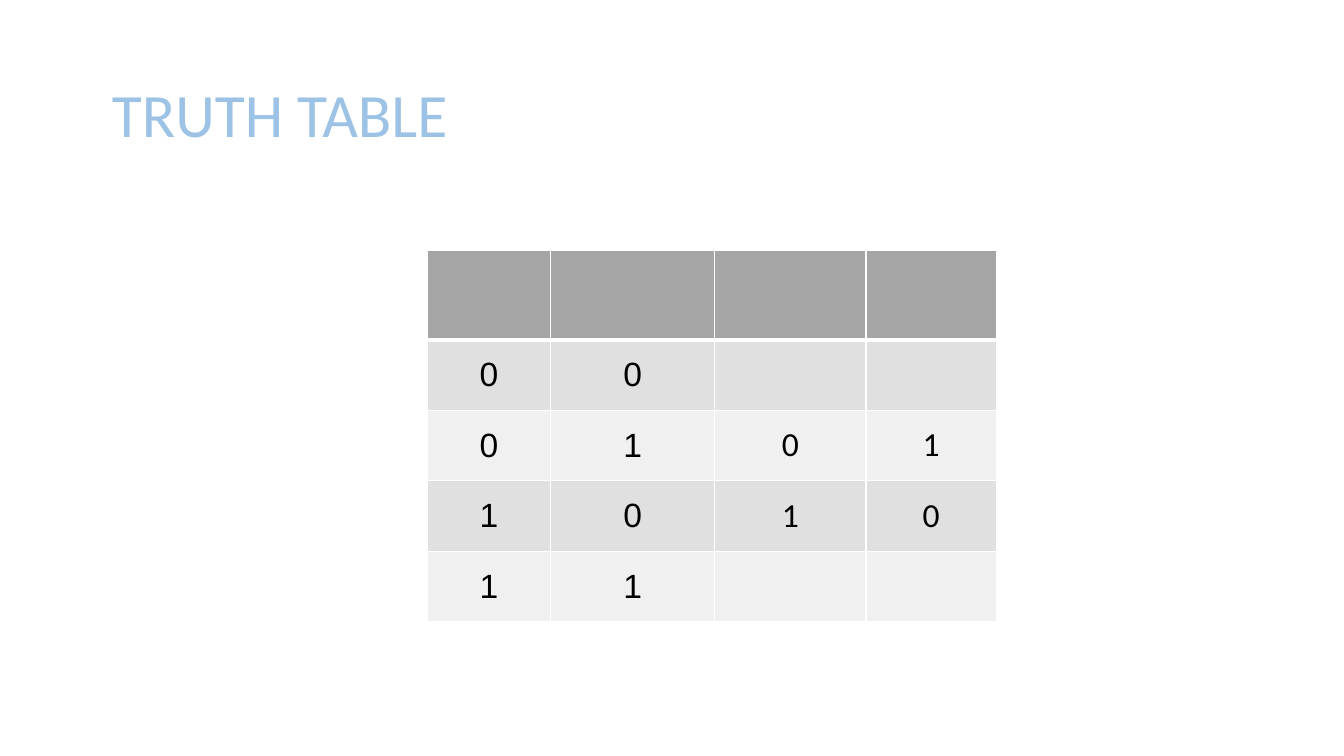
from pptx import Presentation
from pptx.dml.color import RGBColor
from pptx.enum.text import MSO_ANCHOR as Anchor, PP_ALIGN as Align
from pptx.oxml.ns import qn
from pptx.util import Inches, Pt
from lxml.etree import SubElement

COLUMN_WIDTHS = [1.22, 1.63, 1.5, 1.29]
HEADER_HEIGHT, BODY_HEIGHT = 0.89, 0.7
HEADER_FILL, BAND_FILLS = "A5A5A5", ["E0E0E0", "F0F0F0"]
COLUMN_FONTS = ["Arial", "Arial", "Calibri", "Calibri"]
TRUTH_ROWS = [
    ["", "", "", ""],
    ["0", "0", "", ""],
    ["0", "1", "0", "1"],
    ["1", "0", "1", "0"],
    ["1", "1", "", ""],
]


def color(code):
    return RGBColor.from_string(code)


def format_text(para, font_name, size, code, align):
    para.alignment = align
    for span in para.runs:
        span.font.name = font_name
        span.font.size = Pt(size)
        span.font.color.rgb = color(code)


def add_title(page, text):
    title = page.shapes.title
    title.left, title.top = Inches(1.01), Inches(0.44)
    title.width, title.height = Inches(7.88), Inches(1.45)
    frame = title.text_frame
    frame.text = text
    frame.word_wrap = True
    frame.vertical_anchor = Anchor.MIDDLE
    para = frame.paragraphs[0]
    para.line_spacing = 0.9
    format_text(para, "Calibri", 44, "9CC2E5", Align.LEFT)


def set_borders(cell, widths):
    """Draw white borders; widths maps each side to points."""
    properties = cell._tc.get_or_add_tcPr()
    for index, (side, width) in enumerate(widths.items()):
        line = SubElement(properties, qn(f"a:ln{side}"), w=str(Pt(width)))
        fill = SubElement(line, qn("a:solidFill"))
        SubElement(fill, qn("a:srgbClr"), val="FFFFFF")
        properties.insert(index, line)


def add_truth_table(page):
    heights = [HEADER_HEIGHT] + [BODY_HEIGHT] * (len(TRUTH_ROWS) - 1)
    table = page.shapes.add_table(
        len(heights), len(COLUMN_WIDTHS), Inches(4.24), Inches(2.48),
        Inches(sum(COLUMN_WIDTHS)), Inches(sum(heights))).table
    for column, width in zip(table.columns, COLUMN_WIDTHS):
        column.width = Inches(width)
    for row, height in zip(table.rows, heights):
        row.height = Inches(height)

    for r, values in enumerate(TRUTH_ROWS):
        for c, value in enumerate(values):
            cell = table.cell(r, c)
            cell.text = value
            cell.vertical_anchor = Anchor.MIDDLE
            format_text(cell.text_frame.paragraphs[0], COLUMN_FONTS[c], 24,
                        "000000", Align.CENTER)
            cell.fill.solid()
            cell.fill.fore_color.rgb = color(
                BAND_FILLS[(r - 1) % 2] if r else HEADER_FILL)
            # A thicker rule separates the header from the body
            set_borders(cell, {"L": 1, "R": 1, "T": 3 if r == 1 else 1,
                               "B": 3 if r == 0 else 1})


def main():
    deck = Presentation()
    deck.slide_width, deck.slide_height = Inches(13.33), Inches(7.5)
    page = deck.slides.add_slide(deck.slide_layouts[5])
    add_title(page, "TRUTH TABLE")
    add_truth_table(page)
    deck.save("out.pptx")


if __name__ == "__main__":
    main()
